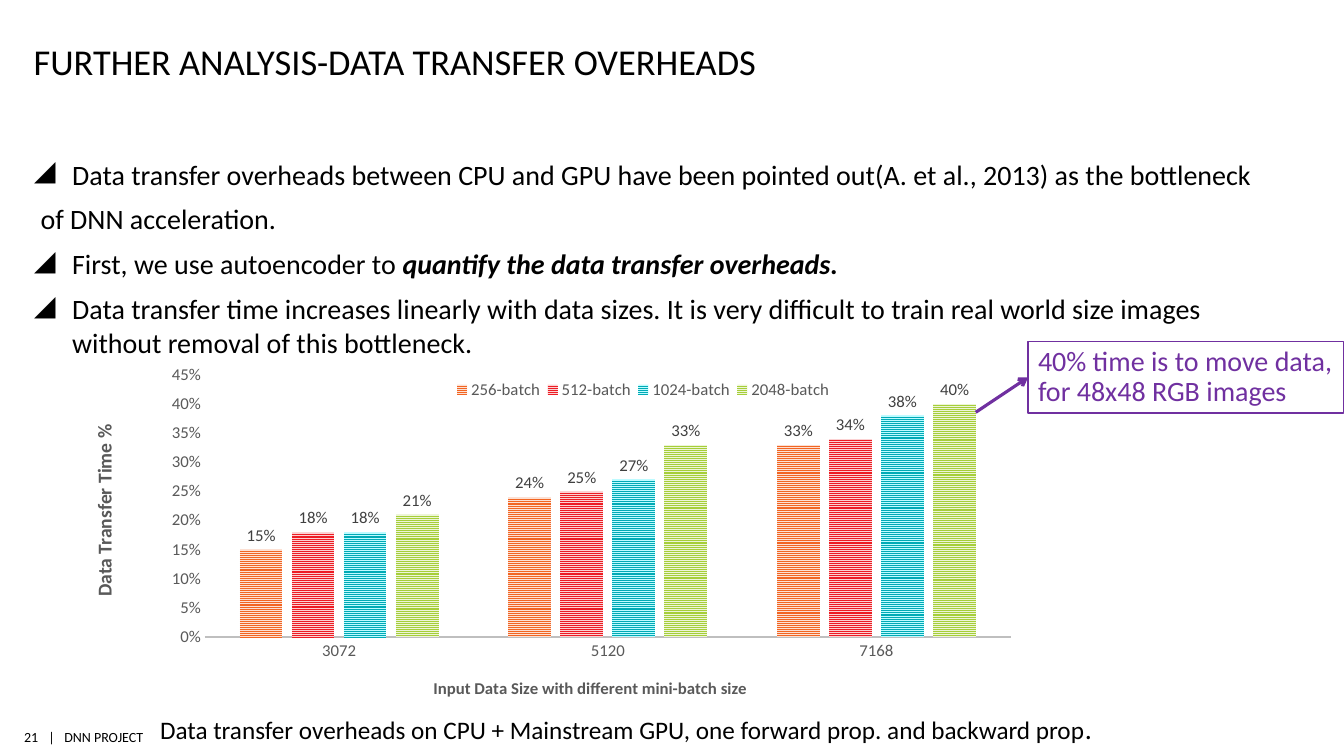
from dataclasses import dataclass

from lxml.etree import SubElement
from pptx import Presentation
from pptx.chart.data import CategoryChartData
from pptx.dml.color import RGBColor
from pptx.enum.chart import XL_CHART_TYPE, XL_LABEL_POSITION, XL_LEGEND_POSITION, XL_TICK_MARK
from pptx.enum.dml import MSO_PATTERN
from pptx.enum.shapes import MSO_CONNECTOR, MSO_SHAPE
from pptx.enum.text import MSO_ANCHOR, PP_ALIGN
from pptx.oxml.ns import qn
from pptx.util import Pt


@dataclass(frozen=True)
class Theme:
    font: str = "Calibri"
    text: str = "000000"
    grey: str = "595959"
    label: str = "404040"
    axis: str = "BFBFBF"
    accent: str = "7030A0"
    title_size: int = 26
    body_size: int = 20
    caption_size: int = 18
    axis_name_size: int = 14
    chart_size: int = 12
    footer_size: int = 10


BULLETS = [
    (True, [("Data transfer overheads between CPU and GPU have been pointed out"
             "(A. et al., 2013) as the bottleneck", False)]),
    (False, [("of DNN acceleration.", False)]),
    (True, [("First, we use autoencoder to ", False),
            ("quantify the data transfer overheads.", True)]),
    (True, [("Data transfer time increases linearly with data sizes. It is very difficult "
             "to train real world size images without removal of this bottleneck.", False)]),
]
SIZES = ["3072", "5120", "7168"]
BATCHES = [
    ("256-batch", (0.15, 0.24, 0.33), "F26522", "FCE0D3"),
    ("512-batch", (0.18, 0.25, 0.34), "ED1C24", "FBD2D3"),
    ("1024-batch", (0.18, 0.27, 0.38), "00AAB5", "BDFBFF"),
    ("2048-batch", (0.21, 0.33, 0.40), "A6CE39", "EDF5D7"),
]


def rgb(value):
    return RGBColor.from_string(value)


def place(element, index, inner=False, **fractions):
    """Give a chart part a manual layout, in fractions of the chart area."""
    for old in element.findall(qn("c:layout")):
        element.remove(old)
    layout = SubElement(element, qn("c:layout"))
    element.insert(index, layout)
    manual = SubElement(layout, qn("c:manualLayout"))
    if inner:
        SubElement(manual, qn("c:layoutTarget")).set("val", "inner")
    for axis in "xy":
        SubElement(manual, qn(f"c:{axis}Mode")).set("val", "edge")
    for key, value in fractions.items():
        SubElement(manual, qn(f"c:{key}")).set("val", str(value))


class SlideBuilder:
    def __init__(self, slide, theme):
        self.slide = slide
        self.theme = theme

    def style(self, font, size, color=None, bold=False, italic=False):
        font.name = self.theme.font
        font.size = Pt(size)
        font.color.rgb = rgb(color or self.theme.text)
        font.bold = bold
        font.italic = italic

    def text(self, box, text, size, color=None, bold=False, align=PP_ALIGN.LEFT,
             anchor=MSO_ANCHOR.MIDDLE, insets=(7.2, 3.6, 7.2, 3.6), wrap=True):
        sp = self.slide.shapes.add_textbox(*map(Pt, box))
        self.fill_text(sp, text, size, color, bold, align, anchor, insets, wrap)
        return sp

    def fill_text(self, sp, text, size, color=None, bold=False, align=PP_ALIGN.LEFT,
                  anchor=MSO_ANCHOR.MIDDLE, insets=(7.2, 3.6, 7.2, 3.6), wrap=True):
        tf = sp.text_frame
        tf.text = text
        tf.word_wrap = wrap
        tf.vertical_anchor = anchor
        tf.margin_left, tf.margin_top, tf.margin_right, tf.margin_bottom = map(Pt, insets)
        for p in tf.paragraphs:
            p.alignment = align
            for r in p.runs:
                self.style(r.font, size, color, bold)

    def bullets(self, box, items):
        sp = self.text(box, "", self.theme.body_size, anchor=MSO_ANCHOR.TOP,
                       insets=(0, 3.6, 0, 3.6))
        tf = sp.text_frame
        for i, (marked, runs) in enumerate(items):
            p = tf.add_paragraph() if i else tf.paragraphs[0]
            pPr = p._p.get_or_add_pPr()
            pPr.set("marL", str(Pt(27 if marked else 4.5)))
            pPr.set("indent", str(Pt(-27 if marked else 0)))
            if marked:
                clr = SubElement(pPr, qn("a:buClr"))
                SubElement(clr, qn("a:srgbClr")).set("val", self.theme.text)
                SubElement(pPr, qn("a:buChar")).set("char", "◢")
            if i:
                p.space_before = Pt(8)
            for text, strong in runs:
                r = p.add_run()
                r.text = text
                self.style(r.font, self.theme.body_size, bold=strong, italic=strong)

    def callout(self, box, text):
        sp = self.slide.shapes.add_shape(MSO_SHAPE.RECTANGLE, *map(Pt, box))
        sp.shadow.inherit = False
        sp.fill.background()
        sp.line.color.rgb = rgb(self.theme.accent)
        sp.line.width = Pt(1)
        self.fill_text(sp, text, self.theme.body_size, self.theme.accent)
        sp.text_frame.paragraphs[0].line_spacing = 0.9
        return sp

    def arrow_to(self, sp, x, y):
        """Draw an arrow from a point to the middle of the shape's left side."""
        line = self.slide.shapes.add_connector(MSO_CONNECTOR.STRAIGHT, Pt(x), Pt(y),
                                               sp.left, sp.top + sp.height // 2)
        line.end_connect(sp, 1)
        line.line.color.rgb = rgb(self.theme.accent)
        line.line.width = Pt(2.25)
        SubElement(line.line._get_or_add_ln(), qn("a:tailEnd")).set("type", "arrow")
        SubElement(line._element.spPr, qn("a:effectLst"))

    def column_chart(self, box, categories, batches, axis_name):
        t = self.theme
        data = CategoryChartData(number_format="0%")
        data.categories = categories
        for name, values, *_ in batches:
            data.add_series(name, values)
        chart = self.slide.shapes.add_chart(
            XL_CHART_TYPE.COLUMN_CLUSTERED, *map(Pt, box), data).chart
        self.style(chart.font, t.chart_size, t.grey)
        chart.has_title = False
        place(chart._chartSpace.chart.plotArea, 0, inner=True, x=0.047, y=0.025, w=0.833, h=0.784)

        chart.has_legend = True
        legend = chart.legend
        legend.position = XL_LEGEND_POSITION.TOP
        legend.include_in_layout = False
        self.style(legend.font, t.chart_size, t.grey)
        place(legend._element, 1, x=0.3, y=0.03, w=0.4, h=0.08)

        plot = chart.plots[0]
        plot.gap_width, plot.overlap = 164, -22
        plot.vary_by_categories = False
        for series, (*_, fore, back) in zip(plot.series, batches):
            fill = series.format.fill
            fill.patterned()
            fill.pattern = MSO_PATTERN.NARROW_HORIZONTAL
            fill.fore_color.rgb, fill.back_color.rgb = rgb(fore), rgb(back)
            labels = series.data_labels
            labels.show_value = True
            labels.number_format, labels.number_format_is_linked = "0%", False
            labels.position = XL_LABEL_POSITION.OUTSIDE_END
            self.style(labels.font, t.chart_size, t.label)

        cat, val = chart.category_axis, chart.value_axis
        for axis in (cat, val):
            axis.major_tick_mark = axis.minor_tick_mark = XL_TICK_MARK.NONE
            axis.has_major_gridlines = False
            self.style(axis.tick_labels.font, t.chart_size, t.grey)
        cat.format.line.color.rgb = rgb(t.axis)
        cat.format.line.width = Pt(1.5)
        val.format.line.fill.background()
        val.minimum_scale, val.maximum_scale, val.major_unit = 0, 0.45, 0.05
        val.tick_labels.number_format, val.tick_labels.number_format_is_linked = "0%", False
        title = cat.axis_title
        title.text_frame.text = axis_name
        self.style(title.text_frame.paragraphs[0].runs[0].font, t.chart_size, t.grey, bold=True)
        place(title._element, 1, x=0.28, y=0.92)


def main():
    prs = Presentation()
    prs.slide_width, prs.slide_height = Pt(960), Pt(540)
    t = Theme()
    s = SlideBuilder(prs.slides.add_slide(prs.slide_layouts[6]), t)

    footer = s.text((34.5, 517, 69, 18.7), "|\tDNN PROJECT", t.footer_size,
                    insets=(0, 2.9, 0, 2.9), wrap=False)
    tabs = SubElement(footer.text_frame.paragraphs[0]._p.get_or_add_pPr(), qn("a:tabLst"))
    tab = SubElement(tabs, qn("a:tab"))
    tab.set("pos", str(Pt(11.5)))
    tab.set("algn", "l")
    s.text((15.8, 517, 11.5, 18.7), "21", t.footer_size, align=PP_ALIGN.RIGHT,
           insets=(0, 2.9, 0, 2.9), wrap=False)

    s.text((24, 21.6, 820.8, 37.4), "FURTHER ANALYSIS-DATA TRANSFER OVERHEADS", t.title_size,
           anchor=MSO_ANCHOR.BOTTOM, insets=(0, 3.6, 0, 0))
    s.bullets((24.5, 108.7, 892.8, 367.2), BULLETS)

    axis_name = s.text((58.3, 262.8, 31.7, 203.8), "Data Transfer Time %", t.axis_name_size,
                       t.grey, bold=True, align=PP_ALIGN.CENTER)
    axis_name.text_frame._txBody.bodyPr.set("vert", "vert270")
    s.column_chart((113.8, 260.6, 691.2, 242), SIZES, BATCHES,
                   "Input Data Size with different mini-batch size")

    caption = s.text((107.3, 507, 785.5, 28.8), "Data transfer overheads on CPU + Mainstream GPU, "
                     "one forward prop. and backward prop", t.caption_size)
    p = caption.text_frame.paragraphs[0]
    p.line_spacing = 0.9
    r = p.add_run()
    r.text = "."
    s.style(r.font, t.body_size)

    note = s.callout((734.4, 244, 225.4, 51), "40% time is to move data, for 48x48 RGB images")
    s.arrow_to(note, 697, 294.5)
    prs.save("out.pptx")


if __name__ == "__main__":
    main()
